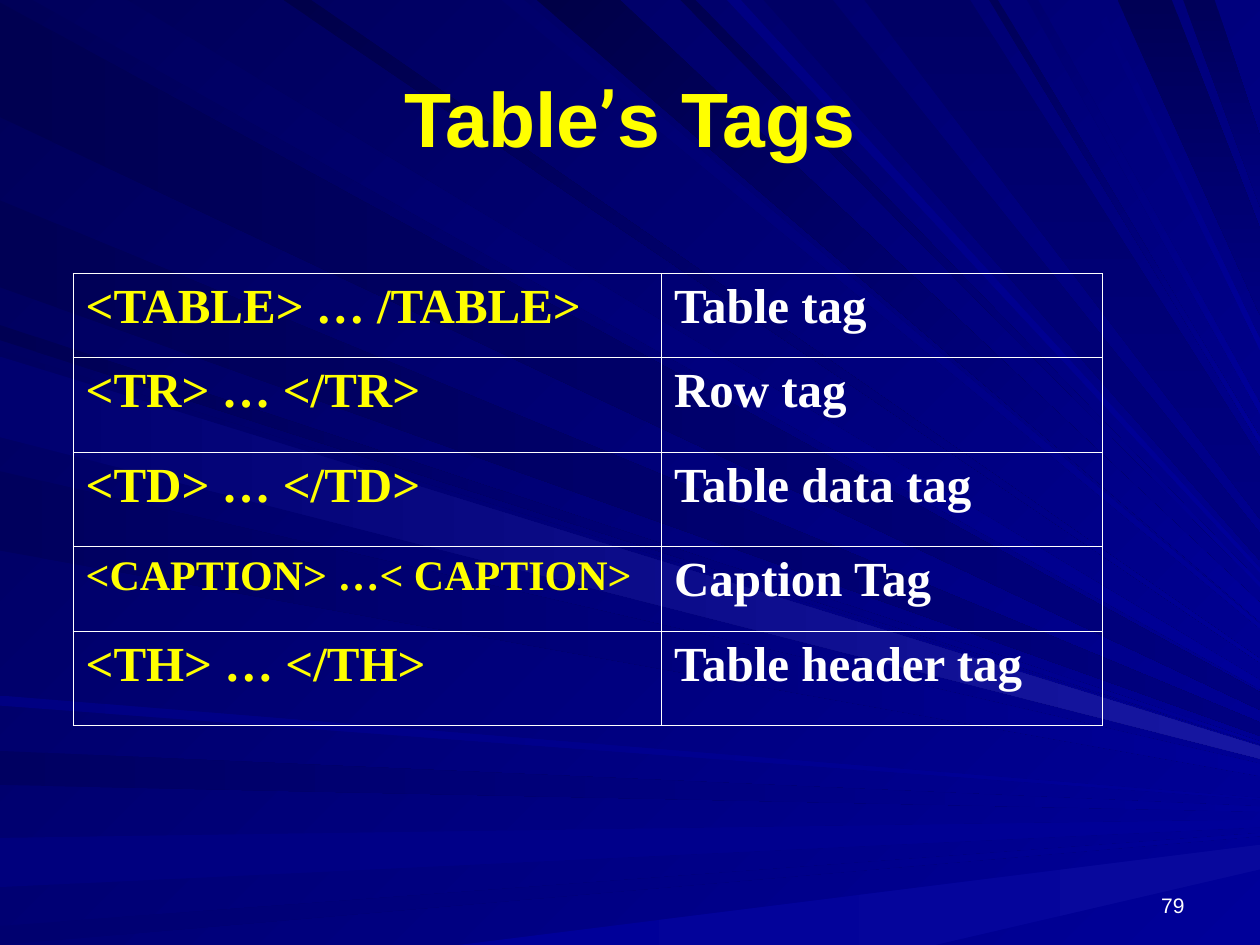
from lxml.etree import SubElement
from pptx import Presentation
from pptx.dml.color import RGBColor
from pptx.enum.text import MSO_ANCHOR as Anchor, MSO_AUTO_SIZE as AutoSize, PP_ALIGN as Align
from pptx.oxml import parse_xml
from pptx.oxml.ns import nsdecls, qn
from pptx.util import Inches, Pt

WIDTH, HEIGHT = 10, 7.5
FOCUS = (11.8, 6.48)
WHITE, YELLOW, NAVY, BLUE, GLOW = "FFFFFF", "FFFF00", "000080", "000099", "1717A2"

TITLE = [("Table", "Arial"), ("’", "Roboto Condensed"), ("s Tags", "Arial")]
PAGE_NUMBER = "79"
COLUMNS = [(4.67, YELLOW), (3.5, WHITE)]
TALL, SHORT = 0.75, 0.67
ROWS = [
    (SHORT, 28, "<TABLE> … /TABLE>", "Table tag"),
    (TALL, 28, "<TR> … </TR>", "Row tag"),
    (TALL, 28, "<TD> … </TD>", "Table data tag"),
    (SHORT, 24, "<CAPTION> …< CAPTION>", "Caption Tag"),
    (TALL, 28, "<TH> … </TH>", "Table header tag"),
]
RAYS = {
    "left": (0, [
        (0.02, 0.93, "000051", NAVY), (1.59, 2.28, "000055", NAVY),
        (2.58, 2.7, "000053", BLUE), (2.78, 3.42, "000061", BLUE),
        (3.74, 4.37, "00005D", BLUE), (5.52, 5.6, "000082", BLUE),
        (5.96, 6.23, "000061", BLUE), (6.65, 7.04, "00007D", BLUE),
        (7.35, 7.5, "00006F", BLUE), (2.83, 3.47, "00006F", GLOW),
    ]),
    "top": (45, [
        (0.26, 1.01, "00005D", BLUE), (2.25, 2.47, "00004A", BLUE),
        (3.98, 4.16, "00006B", BLUE), (4.26, 4.92, "000047", BLUE),
        (5.4, 5.52, "00004F", BLUE), (5.77, 5.88, "000082", BLUE),
        (7.85, 7.92, "000058", BLUE), (8.15, 8.24, "00006F", BLUE),
        (8.65, 8.72, "000079", BLUE),
    ]),
    "top, falling": (90, [
        (6.06, 6.61, "000065", NAVY), (6.86, 7.7, "000065", NAVY),
        (8.87, 9.3, "000055", NAVY), (9.39, 9.64, "000059", NAVY),
    ]),
    "bottom": (0, [(3.64, 7.42, BLUE, "08089C")]),
}


def color(value):
    return RGBColor.from_string(value)


def paint(fill, start, end, angle):
    fill.gradient()
    fill.gradient_angle = (360 - angle) % 360
    for stop, value in zip(fill.gradient_stops, (start, end)):
        stop.color.rgb = color(value)


def style(span, size, value, name="Arial", bold=False):
    span.font.size, span.font.name, span.font.bold = Pt(size), name, bold
    span.font.color.rgb = color(value)


def edge_point(edge, distance):
    if edge == "left":
        return 0, distance
    return distance, HEIGHT if edge == "bottom" else 0


def right_point(x, y):
    return WIDTH, y + (FOCUS[1] - y) * (WIDTH - x) / (FOCUS[0] - x)


def add_rays(page):
    group = page.shapes.add_group_shape()
    for edge, (angle, bands) in RAYS.items():
        for first, last, start, end in bands:
            near, far = edge_point(edge, first), edge_point(edge, last)
            outline_points = [near, far, right_point(*far), right_point(*near)]
            corners = [(Inches(x), Inches(y)) for x, y in outline_points]
            builder = group.shapes.build_freeform(*corners[0], scale=1.0)
            builder.add_line_segments(corners[1:], close=True)
            ray = builder.convert_to_shape()
            ray.shadow.inherit = False
            ray.line.fill.background()
            paint(ray.fill, start, end, angle)


def add_title(page):
    title = page.shapes.title
    title.left, title.top = Inches(0.5), Inches(0.3)
    title.width, title.height = Inches(9), Inches(1.25)
    frame = title.text_frame
    frame.auto_size, frame.vertical_anchor = AutoSize.NONE, Anchor.MIDDLE
    para = frame.paragraphs[0]
    para.alignment = Align.CENTER
    for text, name in TITLE:
        span = para.add_run()
        span.text = text
        style(span, 44, YELLOW, name, True)
    page.shapes._spTree.append(title._element)


def add_page_number(page):
    box = page.shapes.add_textbox(Inches(7.17), Inches(6.83), Inches(2.33), Inches(0.5))
    frame = box.text_frame
    frame.word_wrap, frame.vertical_anchor = True, Anchor.BOTTOM
    frame.text = PAGE_NUMBER
    frame.paragraphs[0].alignment = Align.RIGHT
    style(frame.paragraphs[0].runs[0], 12, WHITE)


def outline(cell):
    properties = cell._tc.get_or_add_tcPr()
    for place, side in enumerate("LRTB"):
        line = parse_xml(f'<a:ln{side} {nsdecls("a")} w="{Pt(0.45)}"/>')
        SubElement(SubElement(line, qn("a:solidFill")), qn("a:srgbClr"), val=WHITE)
        properties.insert(place, line)


def add_tag_table(page):
    width, height = sum(column[0] for column in COLUMNS), sum(row[0] for row in ROWS)
    table = page.shapes.add_table(len(ROWS), len(COLUMNS), Inches(0.58), Inches(2.17),
                                  Inches(width), Inches(height)).table
    table.first_row = table.horz_banding = False
    for column, (column_width, _) in zip(table.columns, COLUMNS):
        column.width = Inches(column_width)
    for row, (row_height, tag_size, *texts) in zip(table.rows, ROWS):
        row.height = Inches(row_height)
        for cell, text, size, (_, value) in zip(row.cells, texts, (tag_size, 28), COLUMNS):
            cell.fill.background()
            outline(cell)
            cell.text = text
            style(cell.text_frame.paragraphs[0].runs[0], size, value, "Times New Roman", True)


def main():
    """Build the slide of table tags over a fan of blue rays."""
    deck = Presentation()
    deck.slide_width, deck.slide_height = Inches(WIDTH), Inches(HEIGHT)
    page = deck.slides.add_slide(deck.slide_layouts[5])
    paint(page.background.fill, "000058", BLUE, 45)
    add_rays(page)
    add_page_number(page)
    add_title(page)
    add_tag_table(page)
    deck.save("out.pptx")


if __name__ == "__main__":
    main()
